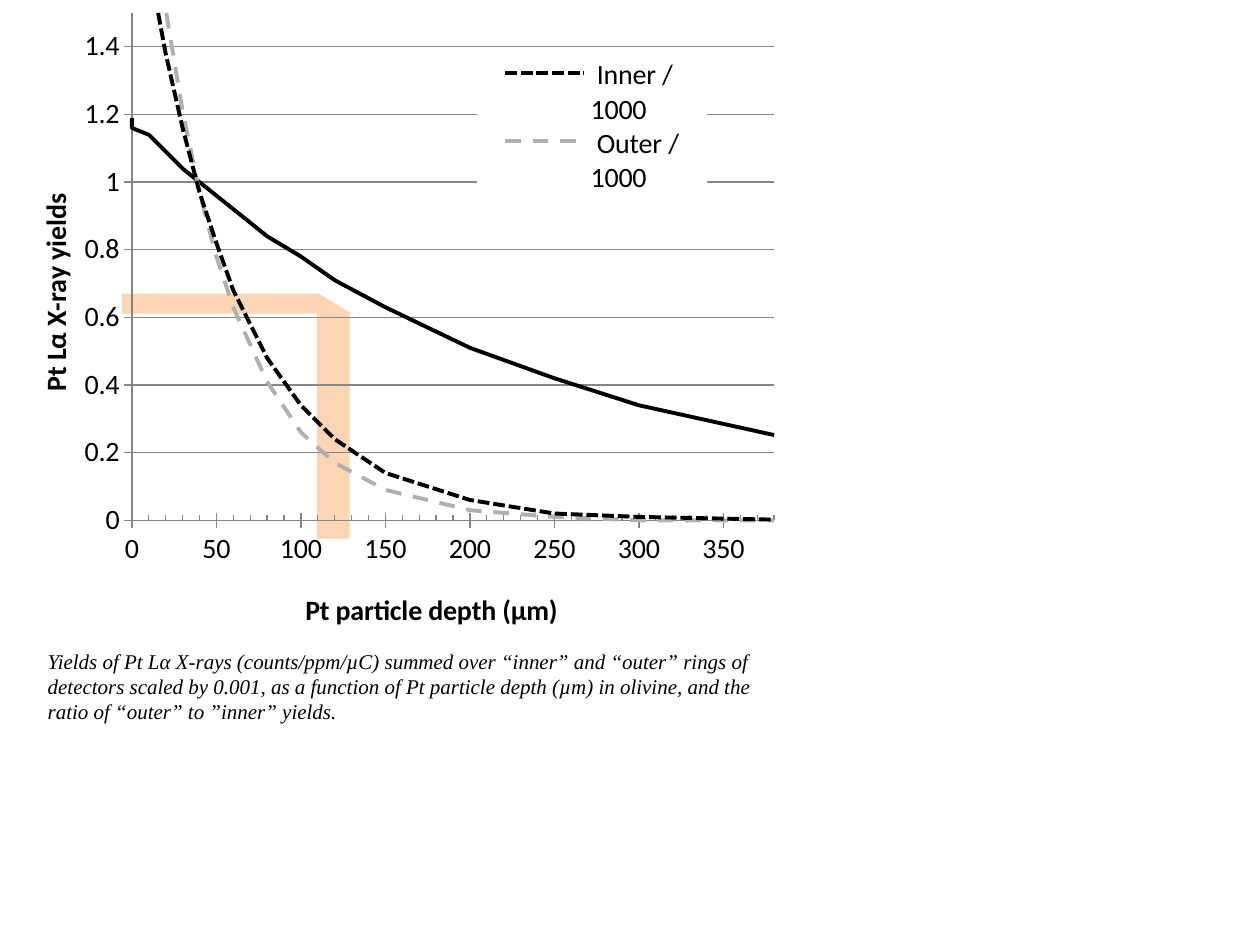
"""Build a slide with a scatter chart of Pt X-ray yields against particle depth."""
from lxml import etree
from pptx import Presentation
from pptx.chart.data import XyChartData
from pptx.dml.color import RGBColor
from pptx.enum.chart import XL_CHART_TYPE, XL_LEGEND_POSITION, XL_TICK_MARK
from pptx.enum.dml import MSO_LINE
from pptx.enum.shapes import MSO_SHAPE
from pptx.enum.text import MSO_ANCHOR
from pptx.oxml import parse_xml
from pptx.oxml.ns import nsdecls, qn
from pptx.util import Inches, Pt

RECT = MSO_SHAPE.RECTANGLE
SCATTER = XL_CHART_TYPE.XY_SCATTER_SMOOTH_NO_MARKERS
CORNER = XL_LEGEND_POSITION.CORNER
CROSS, INSIDE, NO_TICK = XL_TICK_MARK.CROSS, XL_TICK_MARK.INSIDE, XL_TICK_MARK.NONE
SHORT_DASH, DASH, SOLID = MSO_LINE.SQUARE_DOT, MSO_LINE.DASH, MSO_LINE.SOLID

THEME = {
    "ink": "000000", "band": "FCD5B5", "paper": "FFFFFF", "grey": "B0B0B0", "axis": "868686",
    "chart_font": "Calibri", "chart_pt": 16, "caption_font": "Times New Roman",
    "caption_pt": 12, "curve_pt": 2.25, "axis_pt": 0.75,
}

CAPTION = (
    "Yields of Pt Lα X-rays (counts/ppm/µC) summed over “inner” and “outer” rings of "
    "detectors scaled by 0.001, as a function of Pt particle depth (µm) in olivine, "
    "and the ratio of “outer” to ”inner” yields."
)
DEPTHS = [0, 0, 10, 20, 30, 40, 50, 60, 80, 100, 120, 150, 200, 250, 300, 400, 500]
CURVES = [
    (" Inner / 1000", "ink", SHORT_DASH,
     [1.97, 1.8, 1.65, 1.38, 1.16, 0.97, 0.82, 0.68, 0.48, 0.34, 0.24, 0.14, 0.06, 0.02, 0.01, 0, 0]),
    (" Outer / 1000", "grey", DASH,
     [2.34, 2.1, 1.88, 1.51, 1.21, 0.97, 0.78, 0.63, 0.41, 0.26, 0.17, 0.09, 0.03, 0.01, 0, 0, 0]),
    (" Outer / Inner", "ink", SOLID,
     [1.19, 1.16, 1.14, 1.09, 1.04, 1, 0.96, 0.92, 0.84, 0.78, 0.71, 0.63, 0.51, 0.42, 0.34, 0.23, 0.16]),
]
UNLISTED_CURVE = 2

BANDS = [
    ((16.2, 41.6, 20.5, 3.47), 270, "band"),
    ((9.7, 31.07, 18.9, 2.13), 0, "band"),
    ((25, 28.4, 4.4, 3.87), 30.9, "paper"),
]
CAPTION_BOX = (2.8, 67.87, 59.1, 9.47)
CHART_BOX = (0, 0, 62.7, 68.93)

DEPTH_AXIS = {
    "minimum_scale": 0, "maximum_scale": 380, "major_unit": 50, "minor_unit": 10,
    "major_tick_mark": CROSS, "minor_tick_mark": INSIDE, "has_major_gridlines": False,
}
YIELD_AXIS = {
    "minimum_scale": 0, "maximum_scale": 1.5, "major_unit": 0.2,
    "major_tick_mark": CROSS, "minor_tick_mark": NO_TICK, "has_major_gridlines": True,
}
PLOT_AT = {"x": 0.167, "y": 0.02, "w": 0.813, "h": 0.779}
LEGEND_AT = {"x": 0.604, "y": 0.09, "w": 0.291, "h": 0.21}
DEPTH_TITLE_AT = {"x": 0.38, "y": 0.9}
YIELD_TITLE_AT = {"x": 0.04, "y": 0.29}


def rgb(name):
    return RGBColor.from_string(THEME[name])


def apply(obj, values):
    for name, value in values.items():
        setattr(obj, name, value)


def place(prs, box):
    sizes = (prs.slide_width, prs.slide_height) * 2
    return [round(size * share / 100) for size, share in zip(sizes, box)]


def fill_xml(name=None):
    fill = f'<a:solidFill><a:srgbClr val="{THEME[name]}"/></a:solidFill>' if name else "<a:noFill/>"
    return parse_xml(f'<c:spPr {nsdecls("c", "a")}>{fill}<a:ln><a:noFill/></a:ln></c:spPr>')


def set_layout(el, at, after=None):
    layout = el.find(qn("c:layout"))
    if layout is None:
        layout = etree.Element(qn("c:layout"))
        if after is None:
            el.insert(0, layout)
        else:
            el.find(qn(after)).addnext(layout)
    manual = etree.SubElement(layout, qn("c:manualLayout"))
    if "w" in at:
        etree.SubElement(manual, qn("c:layoutTarget"), val="inner")
    for key in ("x", "y"):
        etree.SubElement(manual, qn(f"c:{key}Mode"), val="edge")
    for key, value in at.items():
        etree.SubElement(manual, qn(f"c:{key}"), val=str(value))


def style_axis(axis, values, title, title_at, number_format):
    apply(axis, values)
    apply(axis.tick_labels, {"number_format": number_format, "number_format_is_linked": False})
    lines = [axis.format.line]
    if axis.has_major_gridlines:
        lines.append(axis.major_gridlines.format.line)
    for line in lines:
        line.color.rgb = rgb("axis")
        line.width = Pt(THEME["axis_pt"])
    tf = axis.axis_title.text_frame
    tf.text = title
    font = tf.paragraphs[0].runs[0].font
    apply(font, {"size": Pt(THEME["chart_pt"]), "bold": True, "name": THEME["chart_font"]})
    font.color.rgb = rgb("ink")
    set_layout(axis.axis_title._element, title_at, "c:tx")


def style_legend(chart):
    chart.has_legend = True
    apply(chart.legend, {"position": CORNER, "include_in_layout": True})
    el = chart.legend._element
    set_layout(el, LEGEND_AT, "c:legendPos")
    entry = etree.Element(qn("c:legendEntry"))
    etree.SubElement(entry, qn("c:idx"), val=str(UNLISTED_CURVE))
    etree.SubElement(entry, qn("c:delete"), val="1")
    el.find(qn("c:legendPos")).addnext(entry)
    el.find(qn("c:overlay")).addnext(fill_xml("paper"))


def add_yield_chart(prs, s):
    data = XyChartData()
    for name, _, _, yields in CURVES:
        series = data.add_series(name)
        for depth, value in zip(DEPTHS, yields):
            series.add_data_point(depth, value)
    chart = s.shapes.add_chart(SCATTER, *place(prs, CHART_BOX), data).chart
    chart.has_title = False
    apply(chart.font, {"size": Pt(THEME["chart_pt"]), "name": THEME["chart_font"]})
    chart.font.color.rgb = rgb("ink")
    chart.plots[0].vary_by_categories = False
    for series, (_, color, dash, _) in zip(chart.plots[0].series, CURVES):
        series.smooth = True
        line = series.format.line
        line.color.rgb = rgb(color)
        apply(line, {"width": Pt(THEME["curve_pt"]), "dash_style": dash})
    style_axis(chart.category_axis, DEPTH_AXIS, "Pt particle depth (µm)", DEPTH_TITLE_AT, "0")
    style_axis(chart.value_axis, YIELD_AXIS, "Pt Lα X-ray yields", YIELD_TITLE_AT, "General")
    style_legend(chart)
    body = chart._chartSpace.find(qn("c:chart"))
    plot_area = body.find(qn("c:plotArea"))
    set_layout(plot_area, PLOT_AT)
    plot_area.append(fill_xml())
    body.addnext(fill_xml())


def add_band(prs, s, box, rotation, color):
    sp = s.shapes.add_shape(RECT, *place(prs, box))
    sp.rotation = rotation
    sp.shadow.inherit = False
    sp.fill.solid()
    sp.fill.fore_color.rgb = rgb(color)
    sp.line.fill.background()


def add_caption(prs, s):
    tf = s.shapes.add_textbox(*place(prs, CAPTION_BOX)).text_frame
    apply(tf, {"word_wrap": True, "vertical_anchor": MSO_ANCHOR.MIDDLE})
    r = tf.paragraphs[0].add_run()
    r.text = CAPTION
    apply(r.font, {"size": Pt(THEME["caption_pt"]), "name": THEME["caption_font"], "italic": True})
    r.font.color.rgb = rgb("ink")


def main():
    prs = Presentation()
    apply(prs, {"slide_width": Inches(10), "slide_height": Inches(7.5)})
    s = prs.slides.add_slide(prs.slide_layouts[6])
    for band in BANDS:
        add_band(prs, s, *band)
    add_caption(prs, s)
    add_yield_chart(prs, s)
    prs.save("out.pptx")


if __name__ == "__main__":
    main()
